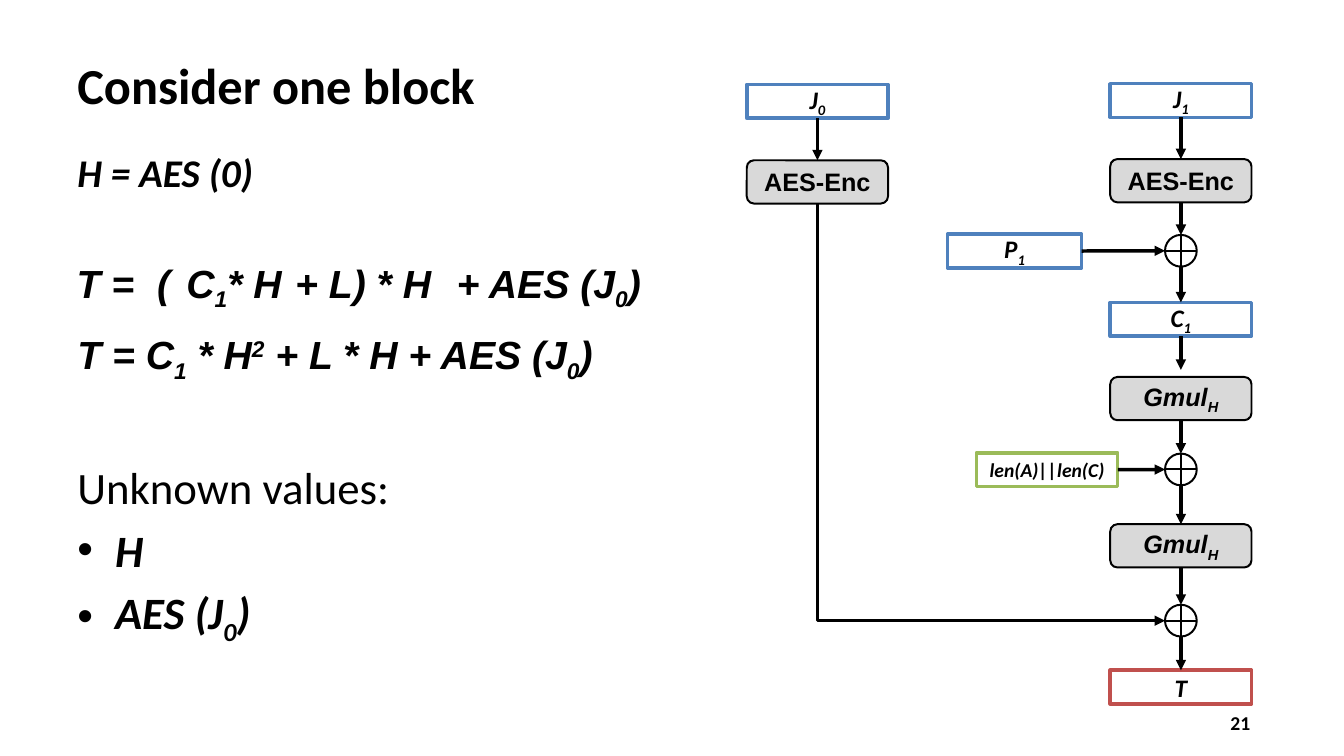
from lxml.etree import SubElement
from pptx import Presentation
from pptx.dml.color import RGBColor
from pptx.enum.shapes import MSO_CONNECTOR, MSO_SHAPE
from pptx.enum.text import MSO_ANCHOR, PP_ALIGN
from pptx.oxml.ns import qn
from pptx.util import Cm, Pt

BLACK = RGBColor(0x00, 0x00, 0x00)
WHITE = RGBColor(0xFF, 0xFF, 0xFF)
GRAY = RGBColor(0xD9, 0xD9, 0xD9)
BLUE = RGBColor(0x4F, 0x81, 0xBD)
GREEN = RGBColor(0x9B, 0xBB, 0x59)
RED = RGBColor(0xC0, 0x50, 0x4D)

# Content: a piece that starts with _ is lowered, with ^ raised
TITLE = ["Consider one block"]
PAGE = ["21"]
STRONG = dict(bold=True, italic=True)
BODY = [
    (["H = AES (0)"], dict(size=28, **STRONG)),
    (["T = C", "_1", " * H", "^2", " + L * H + AES (J", "_0", ")"],
     dict(size=28, font="Arial", before=96.6, **STRONG)),
    (["Unknown values:"], dict(size=32, before=54)),
    (["H"], dict(size=32, before=6.4, bullet=True, **STRONG)),
    (["AES (J", "_0", ")"], dict(size=32, before=6.4, bullet=True, **STRONG)),
]
# Formula parts: left, width, pieces
PARTS = [
    (1.68, 3.81, ["T ="]),
    (3.71, 2.18, ["("]),
    (4.45, 3.81, ["C", "_1", "* H"]),
    (7.19, 5.18, ["+ L) * H"]),
    (11.26, 6.3, ["+ AES (J", "_0", ")"]),
]
MAIN, SIDE = 29.76, 20.6  # axes of the two columns
WIDE, FLAT, TALL, RING = 3.56, 0.85, 1.09, 0.8
# Data boxes: axis, top, width, line colour, size, pieces
DATA = {
    "J0": (SIDE, 2.13, WIDE, BLUE, 18, ["J", "_0"]),
    "J1": (MAIN, 2.11, WIDE, BLUE, 18, ["J", "_1"]),
    "P1": (25.57, 5.9, 3.38, BLUE, 18, ["P", "_1"]),
    "C1": (MAIN, 7.62, WIDE, BLUE, 18, ["C", "_1"]),
    "len": (26.39, 11.41, WIDE, GREEN, 14, ["len(A)||len(C)"]),
    "T": (MAIN, 16.89, WIDE, RED, 18, ["T"]),
}
# Step boxes: axis, top, italic, pieces
STEPS = {
    "enc0": (SIDE, 4.04, False, ["AES-Enc"]),
    "enc1": (MAIN, 4.01, False, ["AES-Enc"]),
    "mul1": (MAIN, 9.5, True, ["Gmul", "_H"]),
    "mul2": (MAIN, 13.21, True, ["Gmul", "_H"]),
}
RINGS = {"xor1": 5.92, "xor2": 11.43, "xor3": 15.24}
DOWN = [("J0", "enc0"), ("J1", "enc1"), ("enc1", "xor1"), ("xor1", "C1"),
        ("mul1", "xor2"), ("xor2", "mul2"), ("mul2", "xor3"), ("xor3", "T")]
ACROSS = [("P1", "xor1"), ("len", "xor2")]

deck = Presentation()
deck.slide_width, deck.slide_height = Cm(33.87), Cm(19.05)
slide = deck.slides.add_slide(deck.slide_layouts[6])
shapes = slide.shapes


def write(para, pieces, size=18, font="Calibri", bold=False, italic=False,
          before=0, bullet=False, align=PP_ALIGN.LEFT):
    para.alignment = align
    para.space_before = Pt(before)
    for piece in pieces:
        shift = {"_": "-25000", "^": "30000"}.get(piece[0])
        run = para.add_run()
        run.text = piece[1:] if shift else piece
        run.font.name, run.font.size = font, Pt(size)
        run.font.bold, run.font.italic = bold, italic
        run.font.color.rgb = BLACK
        if shift:
            run._r.get_or_add_rPr().set("baseline", shift)
    if bullet:
        props = para._p.get_or_add_pPr()
        props.set("marL", str(Cm(0.95)))
        props.set("indent", str(-Cm(0.95)))
        SubElement(props, qn("a:buFont")).set("typeface", "Arial")
        SubElement(props, qn("a:buChar")).set("char", "•")


def label(x, y, w, h, paras, anchor=MSO_ANCHOR.TOP):
    frame = shapes.add_textbox(Cm(x), Cm(y), Cm(w), Cm(h)).text_frame
    frame.word_wrap = True
    frame.vertical_anchor = anchor
    for i, (pieces, style) in enumerate(paras):
        para = frame.add_paragraph() if i else frame.paragraphs[0]
        write(para, pieces, **style)


def block(kind, mid, top, w, h, fill, color, width, pieces, **style):
    box = shapes.add_shape(kind, Cm(mid - w / 2), Cm(top), Cm(w), Cm(h))
    box.shadow.inherit = False
    box.fill.solid()
    box.fill.fore_color.rgb = fill
    box.line.color.rgb, box.line.width = color, Pt(width)
    frame = box.text_frame
    frame.word_wrap = False
    frame.vertical_anchor = MSO_ANCHOR.MIDDLE
    write(frame.paragraphs[0], pieces, bold=True, align=PP_ALIGN.CENTER, **style)
    return box


def stroke(home, start, end, width=2.5, arrow=True, kind=MSO_CONNECTOR.STRAIGHT):
    line = home.add_connector(kind, *start, *end)
    line.line.color.rgb, line.line.width = BLACK, Pt(width)
    if arrow:
        SubElement(line.line._get_or_add_ln(), qn("a:tailEnd")).set("type", "triangle")
    SubElement(line._element.spPr, qn("a:effectLst"))
    return line


def side(node, spot):
    x, y, w, h = node.left, node.top, node.width, node.height
    return [(x + w // 2, y), (x, y + h // 2),
            (x + w // 2, y + h), (x + w, y + h // 2)][spot]


def ring(top):
    group = shapes.add_group_shape()
    disc = group.shapes.add_shape(MSO_SHAPE.OVAL, Cm(MAIN - RING / 2), Cm(top),
                                  Cm(RING), Cm(RING))
    disc.shadow.inherit = False
    disc.fill.background()
    disc.line.color.rgb, disc.line.width = BLACK, Pt(1.42)
    for a, b in [(1, 3), (0, 2)]:
        stroke(group.shapes, side(disc, a), side(disc, b), 1.42, False)
    return disc


def join(a, b, out, into):
    line = stroke(shapes, side(nodes[a], out), side(nodes[b], into))
    if a not in RINGS:
        line.begin_connect(nodes[a], out)
    if b not in RINGS:
        line.end_connect(nodes[b], into)


# Text on the left
label(1.7, 1.07, 17, 2.11, [(TITLE, dict(size=36, bold=True))], MSO_ANCHOR.MIDDLE)
label(1.7, 3.61, 15.24, 13.41, BODY)
for x, w, pieces in PARTS:
    label(x, 6.4, w, 1.45, [(pieces, dict(size=28, font="Arial", **STRONG))])
label(30.76, 17.78, 2.54, 0.84, [(PAGE, dict(size=14, bold=True))])

# Diagram nodes
nodes = {}
for key, (mid, top, w, color, size, pieces) in DATA.items():
    nodes[key] = block(MSO_SHAPE.RECTANGLE, mid, top, w, FLAT, WHITE, color, 2.5,
                       pieces, size=size, italic=True)
for key, (mid, top, italic, pieces) in STEPS.items():
    nodes[key] = block(MSO_SHAPE.ROUNDED_RECTANGLE, mid, top, WIDE, TALL, GRAY,
                       BLACK, 1.42, pieces, font="Arial", italic=italic)
for key, top in RINGS.items():
    nodes[key] = ring(top)

# Straight arrows
for a, b in DOWN:
    join(a, b, 2, 0)
for a, b in ACROSS:
    join(a, b, 3, 1)
tip = stroke(shapes, side(nodes["C1"], 2), (Cm(MAIN), Cm(9.32)))
tip.begin_connect(nodes["C1"], 2)

# Bent arrow: a two-part elbow, turned to go down and then right
start, end = side(nodes["enc0"], 2), side(nodes["xor3"], 1)
bend = stroke(shapes, start, end, kind=MSO_CONNECTOR.ELBOW)
run, drop = end[0] - start[0], end[1] - start[1]
bend.left = start[0] + (run - drop) // 2
bend.top = start[1] + (drop - run) // 2
bend.width, bend.height = drop, run
props = bend._element.spPr
props.find(qn("a:prstGeom")).set("prst", "bentConnector2")
frame = props.find(qn("a:xfrm"))
frame.set("rot", "16200000")
frame.set("flipH", "1")

deck.save("out.pptx")
